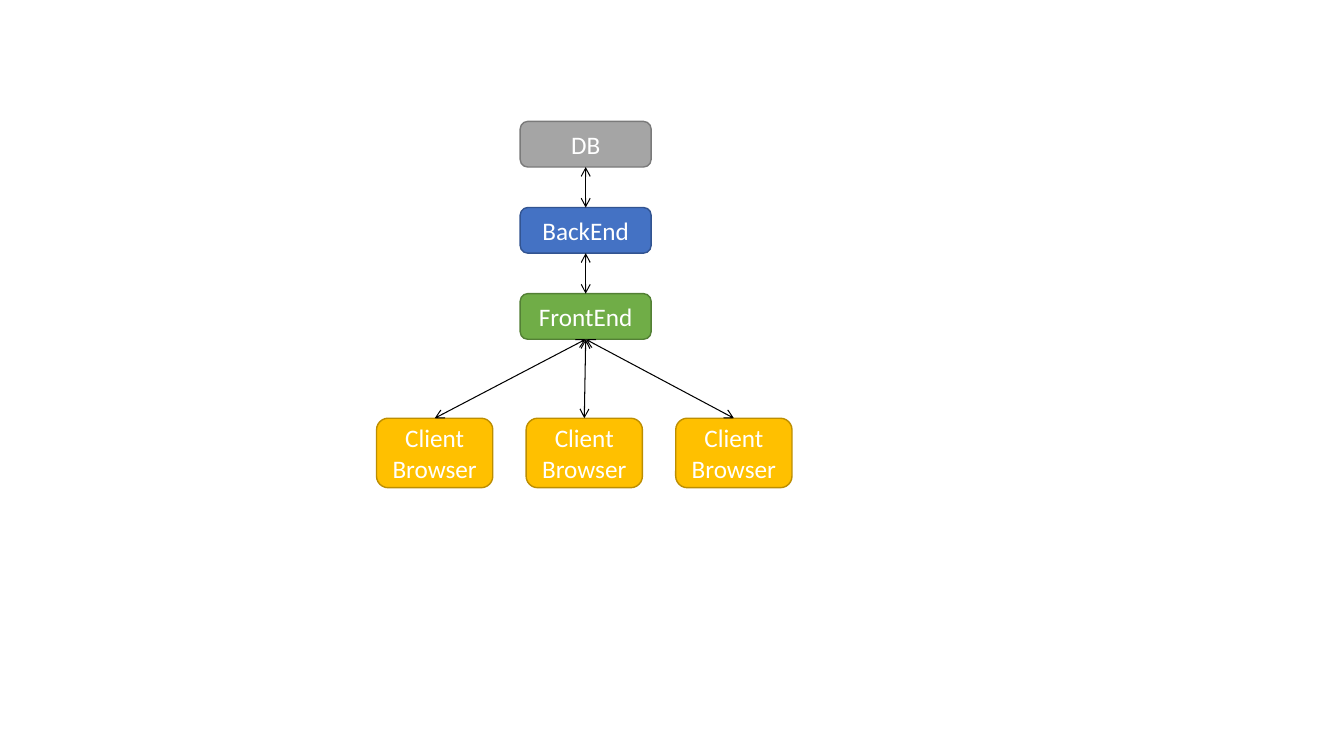
import pptx
import pptx.dml.color
import pptx.enum.shapes
import pptx.enum.text
import pptx.oxml.ns
import pptx.util
from lxml import etree
from pptx.dml.color import RGBColor
from pptx.util import Cm

WHITE = RGBColor(0xFF, 0xFF, 0xFF)
BLACK = RGBColor(0x00, 0x00, 0x00)
GRAY = RGBColor(0xA5, 0xA5, 0xA5)
DARK_GRAY = RGBColor(0x7A, 0x7A, 0x7A)
BLUE = RGBColor(0x44, 0x72, 0xC4)
DARK_BLUE = RGBColor(0x32, 0x54, 0x91)
GREEN = RGBColor(0x70, 0xAD, 0x47)
DARK_GREEN = RGBColor(0x53, 0x80, 0x35)
GOLD = RGBColor(0xFF, 0xC0, 0x00)
DARK_GOLD = RGBColor(0xBD, 0x8E, 0x00)

BOTTOM, TOP = 2, 0

presentation = pptx.Presentation()
presentation.slide_width = Cm(33.87)
presentation.slide_height = Cm(19.05)
slide = presentation.slides.add_slide(presentation.slide_layouts[6])


def add_box(text, *, left, top, width, height, fill, outline):
    shape = slide.shapes.add_shape(
        pptx.enum.shapes.MSO_SHAPE.ROUNDED_RECTANGLE,
        Cm(left), Cm(top), Cm(width), Cm(height))
    shape.shadow.inherit = False
    shape.fill.solid()
    shape.fill.fore_color.rgb = fill
    shape.line.color.rgb = outline
    shape.line.width = pptx.util.Pt(1)
    frame = shape.text_frame
    frame.word_wrap = True
    frame.vertical_anchor = pptx.enum.text.MSO_ANCHOR.MIDDLE
    frame.text = text
    for paragraph in frame.paragraphs:
        paragraph.alignment = pptx.enum.text.PP_ALIGN.CENTER
        for run in paragraph.runs:
            run.font.name = "Calibri"
            run.font.size = pptx.util.Pt(18)
            run.font.color.rgb = WHITE
    return shape


def join_boxes(lower, upper):
    connector = slide.shapes.add_connector(
        pptx.enum.shapes.MSO_CONNECTOR.STRAIGHT, 0, 0, 0, 0)
    connector.begin_connect(lower, TOP)
    connector.end_connect(upper, BOTTOM)
    connector.line.color.rgb = BLACK
    connector.line.width = pptx.util.Pt(0.75)
    line = connector.line._get_or_add_ln()
    for arrowhead in ("a:headEnd", "a:tailEnd"):
        etree.SubElement(line, pptx.oxml.ns.qn(arrowhead), type="arrow")
    etree.SubElement(connector._element.spPr, pptx.oxml.ns.qn("a:effectLst"))


tiers = [
    ("DB", GRAY, DARK_GRAY),
    ("BackEnd", BLUE, DARK_BLUE),
    ("FrontEnd", GREEN, DARK_GREEN),
]
tier_boxes = []
for row, (name, fill, outline) in enumerate(tiers):
    tier_boxes.append(add_box(
        name, left=13.11, top=3.06 + 2.17 * row, width=3.3, height=1.15,
        fill=fill, outline=outline))

client_boxes = []
for column in range(3):
    client_boxes.append(add_box(
        "Client\nBrowser", left=9.49 + 3.77 * column, top=10.54,
        width=2.93, height=1.75, fill=GOLD, outline=DARK_GOLD))

database, backend, frontend = tier_boxes
for client in client_boxes:
    join_boxes(client, frontend)
join_boxes(frontend, backend)
join_boxes(backend, database)

presentation.save("out.pptx")
